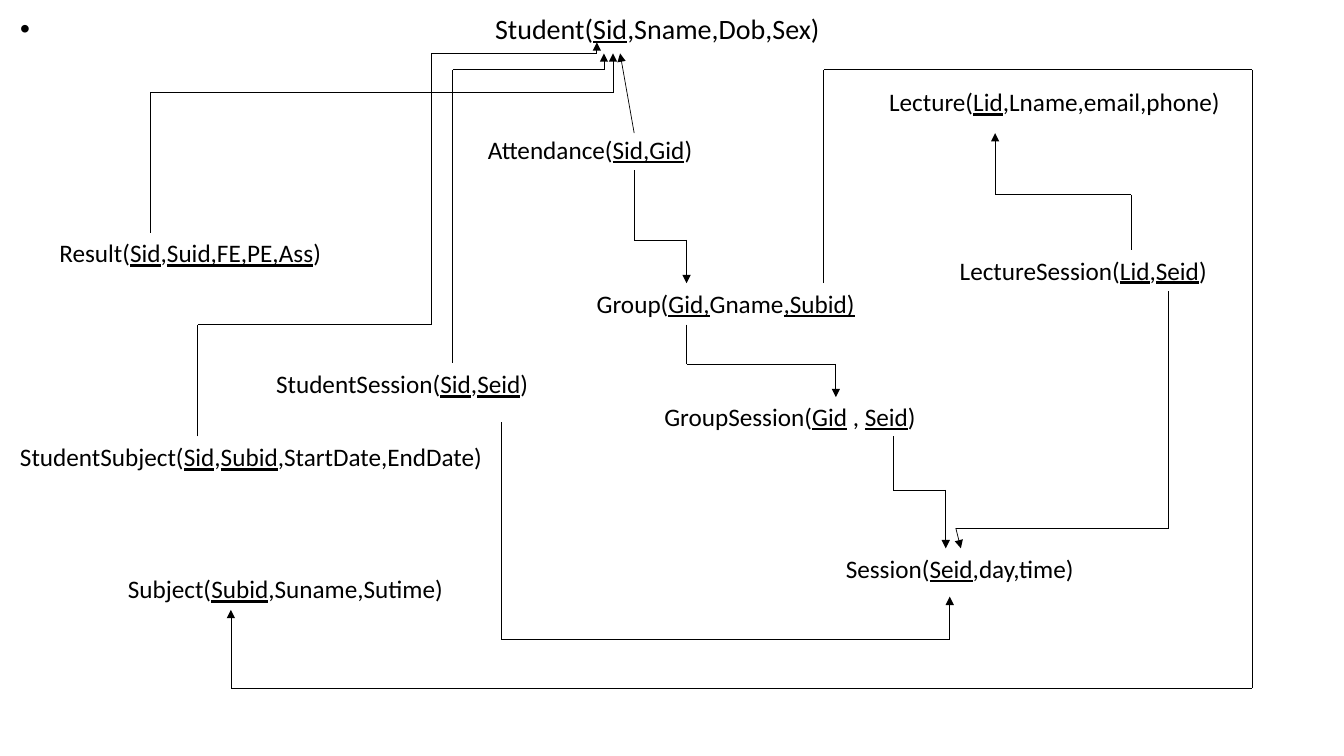
from itertools import pairwise
from typing import NamedTuple

from lxml.etree import SubElement
from pptx import Presentation
from pptx.dml.color import RGBColor
from pptx.enum.shapes import MSO_CONNECTOR
from pptx.enum.text import MSO_ANCHOR, MSO_AUTO_SIZE, PP_ALIGN
from pptx.oxml.ns import qn
from pptx.util import Inches, Pt

BLACK = RGBColor(0x00, 0x00, 0x00)
FONT = "Calibri"
LABEL_ROWS = 4


def grid(cells: float) -> int:
    """Length of a number of grid columns or rows, ten to the inch."""
    return Inches(cells / 10)


class Relation(NamedTuple):
    text: str  # key attributes stand between underscores
    column: float
    row: float
    columns: float


class Reference(NamedTuple):
    points: list[tuple[float, float]]  # the last point carries the arrowhead


RELATIONS = [
    Relation("Attendance(_Sid,Gid_)", 47.4, 12.8, 25.6),
    Relation("Group(_Gid,_Gname_,Subid)_", 58.2, 28.1, 28.9),
    Relation("GroupSession(_Gid_ , _Seid_)", 64.9, 39.3, 27.2),
    Relation("Session(_Seid_,day,time)", 82.9, 54.4, 24.9),
    Relation("Lecture(_Lid_,Lname,email,phone)", 87.2, 8.1, 35.2),
    Relation("LectureSession(_Lid_,_Seid_)", 94.2, 24.8, 27.5),
    Relation("Result(_Sid_,_Suid,FE,PE,Ass_)", 4.9, 23.1, 30),
    Relation("StudentSession(_Sid_,_Seid_)", 26.4, 36.1, 30),
    Relation("Subject(_Subid_,Suname,Sutime)", 11.7, 56.4, 34.4),
    Relation("StudentSubject(_Sid_,_Subid_,StartDate,EndDate)", 1, 43.3, 48.7),
]

REFERENCES = [
    # To Student: from Attendance, Result, StudentSession, StudentSubject
    Reference([(62.9, 13.2), (61.5, 5.3)]),
    Reference([(14.9, 23.1), (14.9, 9.2), (60.8, 9.2), (60.8, 5.3)]),
    Reference([(44.9, 36), (44.9, 6.9), (59.9, 6.9), (59.9, 5.3)]),
    Reference([(19.6, 43.3), (19.6, 32.2), (42.8, 32.2), (42.8, 5.3),
               (59.2, 5.3), (59.2, 4.2)]),
    # To Group and GroupSession
    Reference([(62.9, 16.9), (62.9, 23.8), (68.1, 23.8), (68.1, 28.1)]),
    Reference([(68.1, 32.2), (68.1, 36.1), (82.9, 36.1), (82.9, 39.4)]),
    # To Session: from GroupSession, LectureSession, StudentSession
    Reference([(88.6, 43.3), (88.6, 48.6), (93.8, 48.6), (93.8, 54.4)]),
    Reference([(115.9, 28.9), (115.9, 52.4), (94.8, 52.4), (95.3, 54.4)]),
    Reference([(49.7, 41.9), (49.7, 63.4), (94.2, 63.4), (94.2, 59.2)]),
    # To Lecture and Subject
    Reference([(112.2, 24.8), (112.2, 19.3), (98.7, 19.3), (98.7, 13.2)]),
    Reference([(81.7, 28.1), (81.7, 6.9), (124.2, 6.9), (124.2, 68.3),
               (22.9, 68.3), (22.9, 60.5)]),
]


def write(para, text: str, *, size: float, color: RGBColor = BLACK) -> None:
    """Fill a paragraph, underlining every part between underscores."""
    for number, part in enumerate(text.split("_")):
        if part:
            span = para.add_run()
            span.text = part
            span.font.name = FONT
            span.font.size = Pt(size)
            span.font.color.rgb = color
            span.font.underline = number % 2 == 1


def draw_relation(page, relation: Relation) -> None:
    box = page.shapes.add_textbox(grid(relation.column), grid(relation.row),
                                  grid(relation.columns), grid(LABEL_ROWS))
    box.text_frame.word_wrap = True
    write(box.text_frame.paragraphs[0], relation.text, size=18)


def draw_line(page, start: tuple[float, float], end: tuple[float, float],
              *, arrow: bool) -> None:
    line = page.shapes.add_connector(MSO_CONNECTOR.STRAIGHT,
                                     *map(grid, start + end))
    line.line.color.rgb = BLACK
    line.line.width = Pt(0.5)
    properties = line.element.spPr
    if arrow:
        SubElement(properties.find(qn("a:ln")), qn("a:tailEnd"), type="triangle")
    SubElement(properties, qn("a:effectLst"))


def draw_reference(page, reference: Reference) -> None:
    for start, end in pairwise(reference.points):
        draw_line(page, start, end, arrow=end == reference.points[-1])


def draw_student(page) -> None:
    """Student stands as a bulleted line with a wide hanging indent."""
    body = page.placeholders[1]
    body.left, body.top = grid(1), grid(1)
    body.width, body.height = grid(132.3), grid(70)
    frame = body.text_frame
    frame.auto_size = MSO_AUTO_SIZE.NONE
    frame.vertical_anchor = MSO_ANCHOR.TOP
    para = frame.paragraphs[0]
    para.alignment = PP_ALIGN.LEFT
    para.line_spacing = 0.9
    para.space_before = Pt(10)
    write(para, "Student(_Sid_,Sname,Dob,Sex)", size=20)
    properties = para._p.get_or_add_pPr()
    properties.set("marL", str(grid(47.1)))
    properties.set("indent", str(-grid(47.1)))
    SubElement(properties, qn("a:buFont"), typeface="Arial")
    SubElement(properties, qn("a:buChar"), char="\u2022")


# Deck and page
deck = Presentation()
deck.slide_width, deck.slide_height = grid(133.3), grid(75)
page = deck.slides.add_slide(deck.slide_layouts[1])
title = page.shapes.title.element
title.getparent().remove(title)

# Relations and the references between their keys
draw_student(page)
for relation in RELATIONS:
    draw_relation(page, relation)
for reference in REFERENCES:
    draw_reference(page, reference)

deck.save("out.pptx")
